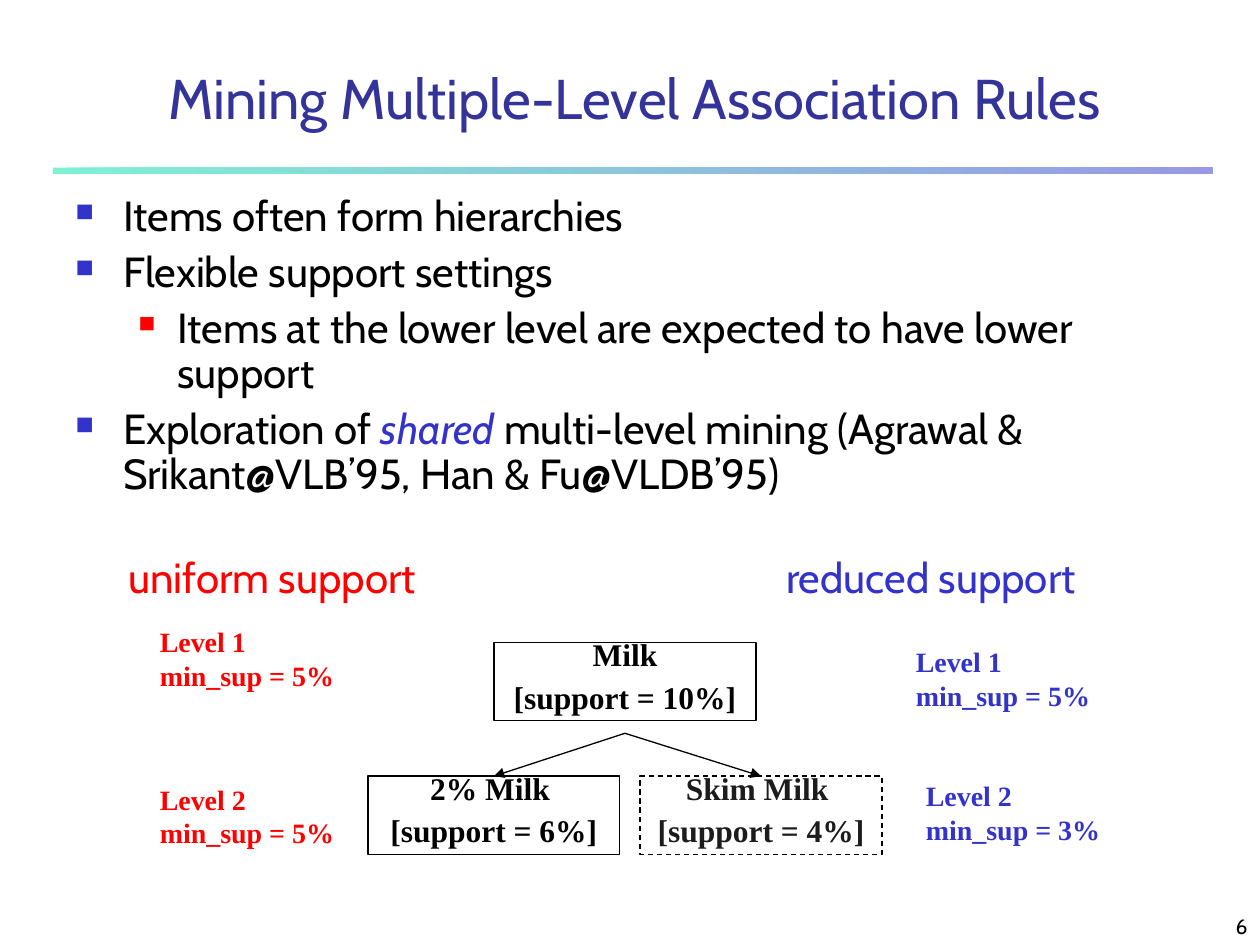
from pptx import Presentation
from pptx.dml.color import RGBColor
from pptx.enum import dml, shapes, text
from pptx.oxml import ns, xmlchemy
from pptx.util import Inches, Pt

COLOURS = {
    "black": "000000", "white": "FFFFFF", "title": "333399", "blue": "3333CC",
    "red": "FF0000", "green": "00E4A8", "charcoal": "1C1C1C",
}
SANS = "Cabin"
SERIF = "Times New Roman"
ALIGN = text.PP_ALIGN
ANCHOR = text.MSO_ANCHOR


def rgb(name):
    return RGBColor.from_string(COLOURS[name])


def add_child(parent, tag, **attributes):
    child = xmlchemy.OxmlElement(tag)
    for key, value in attributes.items():
        child.set(key, str(value))
    parent.append(child)
    return child


class SlideBuilder:
    def __init__(self, slide):
        self.slide = slide

    def fade(self, shape, percent):
        for colour in shape._element.spPr.iter(ns.qn("a:srgbClr")):
            add_child(colour, "a:alpha", val=percent * 1000)

    def style_run(self, run, size, font, colour, bold=False, italic=False):
        run.font.size = Pt(size)
        run.font.name = font
        run.font.bold = bold
        run.font.italic = italic
        run.font.color.rgb = rgb(colour)

    def set_lines(self, shape, lines, size, font, colour, bold=False,
                  align=ALIGN.LEFT, spacing=None, before=0):
        shape.text_frame.text = "\n".join(lines)
        for paragraph in shape.text_frame.paragraphs:
            paragraph.alignment = align
            paragraph.space_before = Pt(before)
            if spacing:
                paragraph.line_spacing = spacing
            for run in paragraph.runs:
                self.style_run(run, size, font, colour, bold)

    def text_box(self, left, top, width, height, anchor=ANCHOR.TOP, wrap=True):
        box = self.slide.shapes.add_textbox(
            Inches(left), Inches(top), Inches(width), Inches(height))
        frame = box.text_frame
        frame.word_wrap = wrap
        frame.vertical_anchor = anchor
        if not wrap:
            frame.auto_size = text.MSO_AUTO_SIZE.SHAPE_TO_FIT_TEXT
        return box

    def rectangle(self, left, top, width, height):
        shape = self.slide.shapes.add_shape(
            shapes.MSO_SHAPE.RECTANGLE,
            Inches(left), Inches(top), Inches(width), Inches(height))
        shape.shadow.inherit = False
        return shape

    def gradient_rule(self, left, top, width, height, colours, opacity):
        rule = self.rectangle(left, top, width, height)
        rule.line.fill.background()
        rule.fill.gradient()
        rule.fill.gradient_angle = 0
        for position, (stop, colour) in enumerate(zip(rule.fill.gradient_stops, colours)):
            stop.position = position
            stop.color.rgb = rgb(colour)
        self.fade(rule, opacity)

    def bullet(self, paragraph, parts, level):
        indent, hanging, colour, size = [(0.38, 0.38, "blue", 60), (0.81, 0.31, "red", 55)][level]
        paragraph.level = level
        paragraph.line_spacing = 0.9
        paragraph.space_before = Pt(6)
        properties = paragraph._p.get_or_add_pPr()
        properties.set("marL", str(Inches(indent)))
        properties.set("indent", str(-Inches(hanging)))
        add_child(add_child(properties, "a:buClr"), "a:srgbClr", val=COLOURS[colour])
        add_child(properties, "a:buSzPct", val=size * 1000)
        add_child(properties, "a:buChar", char="■")
        for words, emphasis in parts:
            run = paragraph.add_run()
            run.text = words
            self.style_run(run, 24, SANS, "blue" if emphasis else "black", italic=emphasis)

    def bullets(self, left, top, width, height, items):
        frame = self.text_box(left, top, width, height).text_frame
        for index, (level, parts) in enumerate(items):
            paragraph = frame.add_paragraph() if index else frame.paragraphs[0]
            self.bullet(paragraph, parts, level)

    def item_box(self, left, top, width, lines, colour="black", dashed=False):
        box = self.rectangle(left, top, width, 0.62)
        box.fill.solid()
        box.fill.fore_color.rgb = rgb("white")
        if dashed:
            self.fade(box, 50)
            box.line.dash_style = dml.MSO_LINE.DASH
        box.line.color.rgb = rgb("black")
        box.line.width = Pt(0.75)
        box.text_frame.word_wrap = True
        box.text_frame.vertical_anchor = ANCHOR.TOP
        box.text_frame.auto_size = text.MSO_AUTO_SIZE.SHAPE_TO_FIT_TEXT
        self.set_lines(box, lines, 18, SERIF, colour, True, ALIGN.CENTER, 0.6, 11.2)
        return box

    def level_label(self, left, top, level, support, colour):
        box = self.text_box(left, top, 1.58, 0.64, wrap=False)
        self.set_lines(box, [f"Level {level}", f"min_sup = {support}%"], 16, SERIF, colour, True)

    def arrow_to(self, start_x, start_y, target):
        x, y = Inches(start_x), Inches(start_y)
        arrow = self.slide.shapes.add_connector(shapes.MSO_CONNECTOR.STRAIGHT, x, y, x, y)
        arrow.end_connect(target, 0)
        arrow.line.color.rgb = rgb("black")
        arrow.line.width = Pt(0.75)
        properties = arrow._element.spPr
        add_child(properties.find(ns.qn("a:ln")), "a:tailEnd", type="triangle")
        add_child(properties, "a:effectLst")


def main():
    presentation = Presentation()
    presentation.slide_width = Inches(10)
    presentation.slide_height = Inches(7.5)
    builder = SlideBuilder(presentation.slides.add_slide(presentation.slide_layouts[6]))

    builder.gradient_rule(0.42, 1.33, 9.2, 0.05, ("green", "blue"), 50)
    page_number = builder.text_box(7.92, 7.08, 2.08, 0.42, ANCHOR.BOTTOM)
    builder.set_lines(page_number, ["6"], 12, SANS, "black", align=ALIGN.RIGHT)
    title = builder.text_box(0.75, 0.42, 8.58, 0.67, ANCHOR.BOTTOM)
    builder.set_lines(title, ["Mining Multiple-Level Association Rules"], 32, SANS, "title",
                      align=ALIGN.CENTER)

    builder.bullets(0.5, 1.5, 9.17, 2.58, [
        (0, [("Items often form hierarchies", False)]),
        (0, [("Flexible support settings", False)]),
        (1, [("Items at the lower level are expected to have lower support", False)]),
        (0, [("Exploration of ", False), ("shared", True),
             (" multi-level mining (Agrawal & Srikant@VLB’95, Han & Fu@VLDB’95)", False)]),
    ])

    uniform = builder.text_box(0.92, 4.33, 2.67, 0.58)
    builder.set_lines(uniform, ["uniform support"], 24, SANS, "red", before=6)
    reduced = builder.text_box(6.14, 4.33, 2.81, 0.5, wrap=False)
    builder.set_lines(reduced, ["reduced support"], 24, SANS, "blue")

    builder.item_box(3.92, 5.1, 2.08, ["Milk", "[support = 10%]"])
    low_fat = builder.item_box(2.92, 6.16, 2, ["2% Milk ", "[support = 6%]"])
    skim = builder.item_box(5.08, 6.16, 1.92, ["Skim Milk ", "[support = 4%]"],
                            "charcoal", dashed=True)
    for child in (low_fat, skim):
        builder.arrow_to(4.96, 5.82, child)

    for left, top, level, support, colour in [
        (1.17, 4.91, 1, 5, "red"), (1.17, 6.16, 2, 5, "red"),
        (7.17, 5.07, 1, 5, "blue"), (7.25, 6.13, 2, 3, "blue"),
    ]:
        builder.level_label(left, top, level, support, colour)

    presentation.save("out.pptx")


if __name__ == "__main__":
    main()
